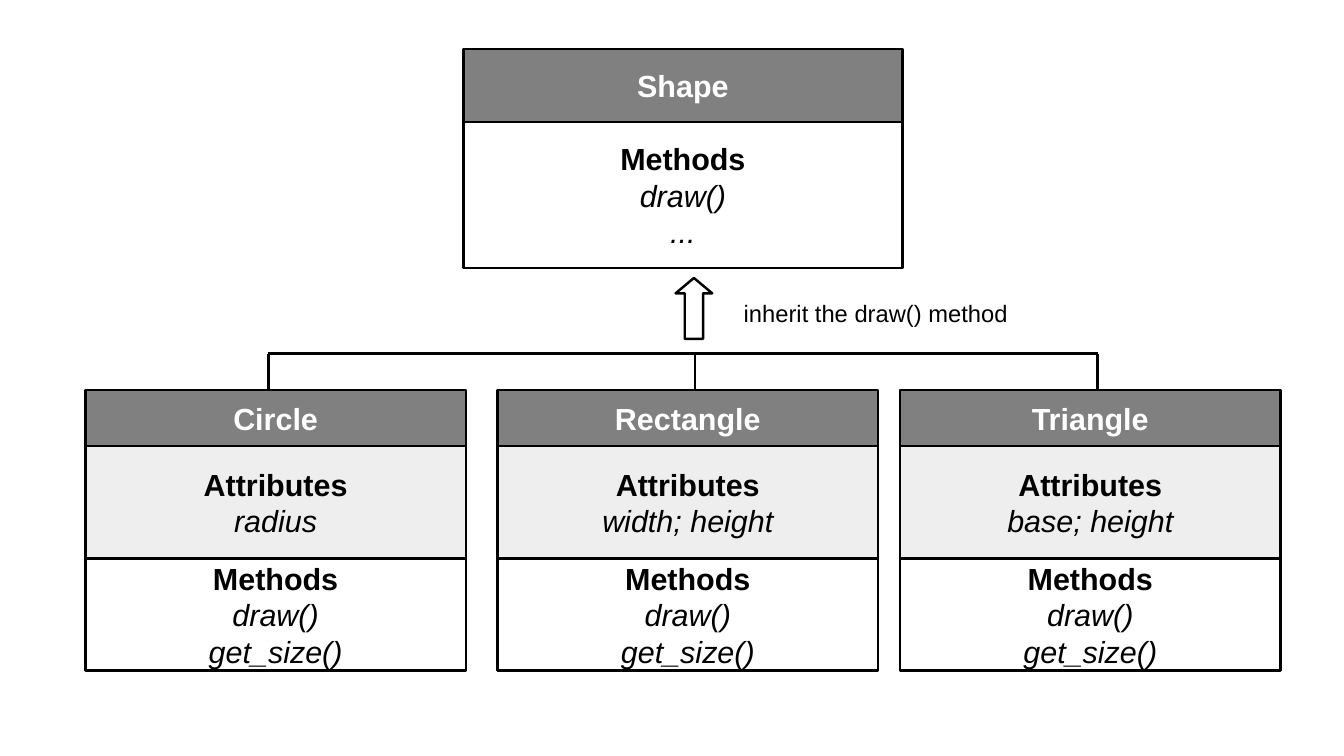
from dataclasses import dataclass

from pptx import Presentation
from pptx.dml.color import RGBColor
from pptx.enum.shapes import MSO_CONNECTOR, MSO_SHAPE
from pptx.enum.text import MSO_ANCHOR, MSO_AUTO_SIZE, PP_ALIGN
from pptx.oxml.ns import qn
from pptx.util import Pt

RECT = MSO_SHAPE.RECTANGLE
UP_ARROW = MSO_SHAPE.UP_ARROW
STRAIGHT = MSO_CONNECTOR.STRAIGHT
CENTER = PP_ALIGN.CENTER
MIDDLE = MSO_ANCHOR.MIDDLE
GROW = MSO_AUTO_SIZE.SHAPE_TO_FIT_TEXT


@dataclass(frozen=True)
class Theme:
    font: str = "Arial"
    ink: RGBColor = RGBColor(0x00, 0x00, 0x00)
    white: RGBColor = RGBColor(0xFF, 0xFF, 0xFF)
    header: RGBColor = RGBColor(0x80, 0x80, 0x80)
    attributes: RGBColor = RGBColor(0xEE, 0xEE, 0xEE)
    body_size: float = 18
    label_size: float = 14
    line_width: float = 1.45


class ClassDiagram:
    def __init__(self, slide, theme):
        self.s = slide
        self.theme = theme

    def outline(self, line):
        line.color.rgb = self.theme.ink
        line.width = Pt(self.theme.line_width)

    def font(self, p, size, color, bold=False, italic=False):
        f = p.font
        f.name, f.size, f.color.rgb = self.theme.font, Pt(size), color
        f.bold, f.italic = bold, italic

    def shape(self, kind, x, y, w, h, fill=None):
        sp = self.s.shapes.add_shape(kind, Pt(x), Pt(y), Pt(w), Pt(h))
        sp.shadow.inherit = False
        if fill is None:
            sp.fill.background()
        else:
            sp.fill.solid()
            sp.fill.fore_color.rgb = fill
        self.outline(sp.line)
        return sp

    def compartment(self, x, y, w, h, lines, fill=None, color=None):
        """Draw one box with a bold first line and italic lines below it."""
        sp = self.shape(RECT, x, y, w, h, fill)
        tf = sp.text_frame
        tf.word_wrap = False
        tf.vertical_anchor = MIDDLE
        tf.text = "\n".join(lines)
        for i, p in enumerate(tf.paragraphs):
            p.alignment = CENTER
            self.font(p, self.theme.body_size, color or self.theme.ink,
                      bold=i == 0, italic=i > 0)

    def class_box(self, x, y, w, header_h, part_h, name, methods, attributes=None):
        t = self.theme
        self.compartment(x, y, w, header_h, [name], t.header, t.white)
        y += header_h
        if attributes:
            self.compartment(x, y, w, part_h, ["Attributes", attributes], t.attributes)
            y += part_h
        self.compartment(x, y, w, part_h, ["Methods", *methods])

    def line(self, x1, y1, x2, y2):
        c = self.s.shapes.add_connector(STRAIGHT, Pt(x1), Pt(y1), Pt(x2), Pt(y2))
        self.outline(c.line)
        sp_pr = c._element.spPr
        sp_pr.append(sp_pr.makeelement(qn("a:effectLst"), {}))

    def up_arrow(self, x, y, w, h):
        sp = self.shape(UP_ARROW, x, y, w, h)
        sp.adjustments[1] = 0.42

    def label(self, x, y, w, h, text):
        tf = self.s.shapes.add_textbox(Pt(x), Pt(y), Pt(w), Pt(h)).text_frame
        tf.word_wrap = True
        tf.auto_size = GROW
        tf.text = text
        self.font(tf.paragraphs[0], self.theme.label_size, self.theme.ink)


def main():
    prs = Presentation()
    prs.slide_width, prs.slide_height = Pt(793.44), Pt(446.4)
    d = ClassDiagram(prs.slides.add_slide(prs.slide_layouts[6]), Theme())

    d.class_box(273.6, 28.8, 259.2, 43.2, 86.4, "Shape", ["draw()", "..."])

    bus_y, child_y = 208.8, 230.4
    children = [  # left, stem, name, attributes
        (50.4, 158.4, "Circle", "radius"),
        (293.76, 410.4, "Rectangle", "width; height"),
        (531.36, 648, "Triangle", "base; height"),
    ]
    for x, stem_x, name, attributes in children:
        d.class_box(x, child_y, 224.64, 33.12, 66.24, name,
                    ["draw()", "get_size()"], attributes)
        d.line(stem_x, child_y, stem_x, bus_y)
    d.line(children[0][1], bus_y, children[-1][1], bus_y)

    d.up_arrow(398.88, 164.16, 21.6, 36)
    d.label(432, 172.8, 223.2, 28.8, "inherit the draw() method")

    prs.save("out.pptx")


if __name__ == "__main__":
    main()
